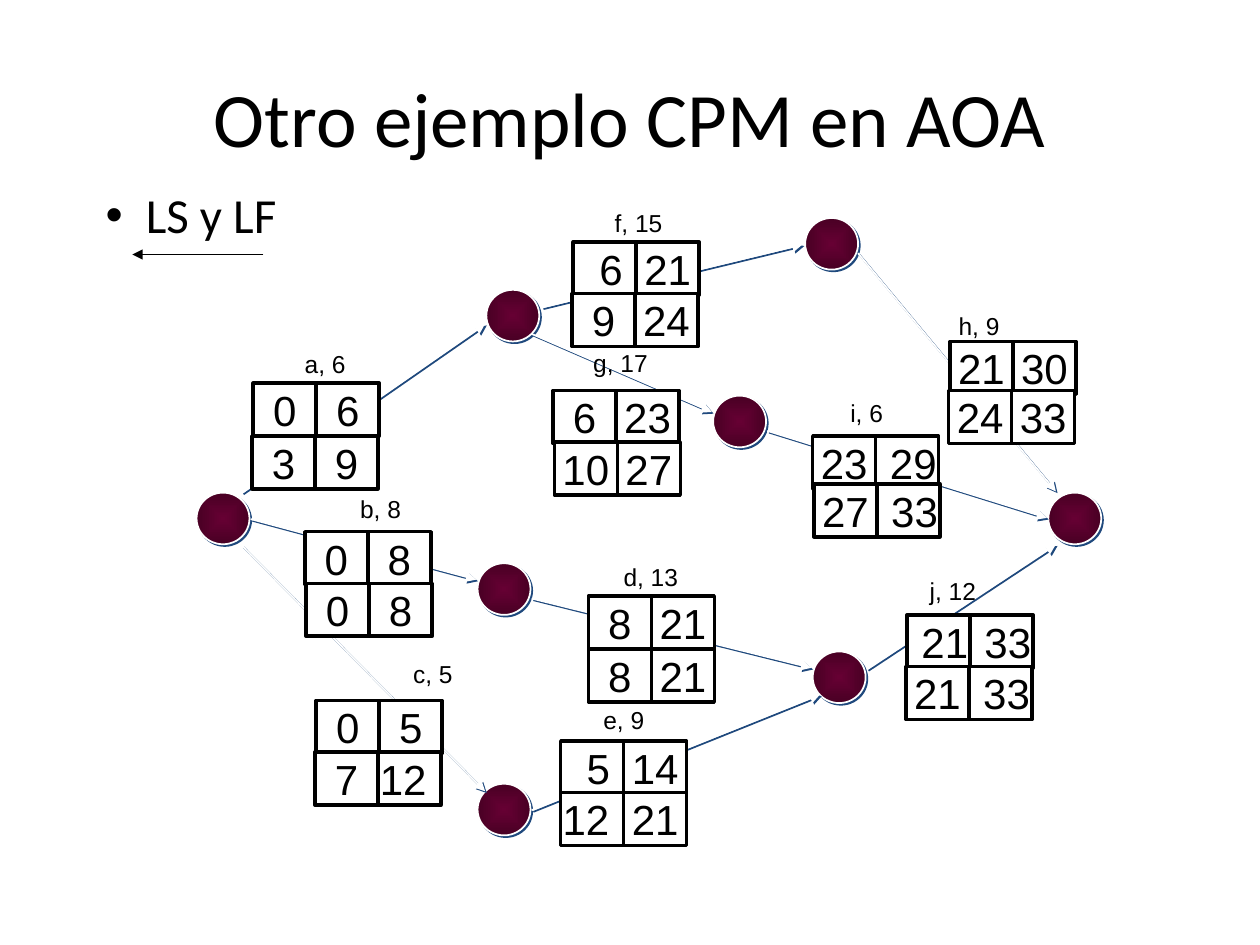
from lxml.etree import SubElement
from pptx import Presentation
from pptx.dml.color import RGBColor
from pptx.enum.shapes import MSO_CONNECTOR as CONNECTOR, MSO_SHAPE as SHAPE
from pptx.enum.text import MSO_ANCHOR as ANCHOR, MSO_AUTO_SIZE as AUTO_SIZE
from pptx.enum.text import PP_ALIGN as ALIGN
from pptx.oxml.ns import qn
from pptx.util import Pt

PX = 9144  # 100 px to the inch
CELL_W, CELL_H = 50, 42
NODE_W, NODE_H = 42, 41
BLACK, WHITE, SHADOW = "000000", "FFFFFF", "1F497D"
NODE_CENTRE, NODE_EDGE = "660033", "490024"

# Left and top of each event
EVENTS = [(156, 391), (832, 391), (386, 230), (566, 314), (379, 622),
          (379, 447), (645, 517), (639, 173)]

# Start and end of each activity arrow
ARROWS = [
    (192, 391, 385, 257), (430, 244, 637, 194), (681, 201, 838, 390),
    (422, 265, 565, 327), (609, 342, 831, 411), (199, 412, 378, 460),
    (422, 475, 644, 530), (192, 433, 385, 628), (422, 643, 651, 551),
    (688, 531, 838, 432),
]

# Label, its box, then for the early and late rows: left, top, values.
# A last item in a row gives the sideways nudge of each figure.
ACTIVITIES = [
    ("a, 6", (232, 272, 53), (201, 304, "0 6"), (200, 346, "3 9")),
    ("b, 8", (276, 387, 53), (242, 422, "0 8"), (243, 463, "0 8")),
    ("c, 5", (318, 518, 52), (251, 556, "0 5"), (250, 597, "7 12", (0, -5))),
    ("d, 13", (485, 441, 65), (467, 473, "8 21"), (467, 515, "8 21")),
    ("e, 9", (469, 555, 53), (445, 588, "5 14", (5, 0)),
     (445, 629, "12 21", (-5, 0))),
    ("f, 15", (478, 160, 58), (455, 192, "6 21", (5, 0)), (454, 233, "9 24")),
    ("g, 17", (461, 271, 63), (439, 310, "6 23"), (440, 351, "10 27")),
    ("h, 9", (751, 242, 53), (754, 271, "21 30"), (753, 310, "24 33")),
    ("i, 6", (665, 311, 46), (645, 346, "23 29", (0, 5)),
     (646, 384, "27 33", (0, 5))),
    ("j, 12", (728, 452, 57), (720, 488, "21 33", (5, 5)),
     (719, 529, "21 33", (0, 5))),
]


def px(*lengths):
    return [round(length * PX) for length in lengths]


def rgb(color):
    return RGBColor.from_string(color)


def write(shape, text, size, font, insets, align=ALIGN.LEFT,
          anchor=ANCHOR.TOP, wrap=False):
    frame = shape.text_frame
    frame.word_wrap = wrap
    frame.vertical_anchor = anchor
    (frame.margin_left, frame.margin_top,
     frame.margin_right, frame.margin_bottom) = px(*insets)
    paragraph = frame.paragraphs[0]
    paragraph.text = text
    paragraph.alignment = align
    run_font = paragraph.runs[0].font
    run_font.size = Pt(size)
    run_font.name = font
    run_font.color.rgb = rgb(BLACK)
    return paragraph


def set_effect(shape, color=None):
    """Give a hard offset shadow, or none when there is no colour."""
    properties = shape._element.spPr
    for old in properties.findall(qn("a:effectLst")):
        properties.remove(old)
    effects = SubElement(properties, qn("a:effectLst"))
    if color:
        shadow = SubElement(effects, qn("a:outerShdw"), dist=str(Pt(1.4)),
                            dir="2700000", algn="ctr", rotWithShape="0")
        SubElement(shadow, qn("a:srgbClr"), val=color)


def add_arrow(slide, ends, color, width, shadow=None):
    arrow = slide.shapes.add_connector(CONNECTOR.STRAIGHT, *px(*ends))
    arrow.line.color.rgb = rgb(color)
    arrow.line.width = Pt(width)
    SubElement(arrow._element.spPr.find(qn("a:ln")), qn("a:tailEnd"),
               type="triangle")
    set_effect(arrow, shadow)


def add_event(slide, left, top):
    event = slide.shapes.add_shape(SHAPE.OVAL, *px(left, top, NODE_W, NODE_H))
    event.fill.gradient()
    for stop, color, position in zip(event.fill.gradient_stops,
                                     (NODE_CENTRE, NODE_EDGE), (0, 1)):
        stop.color.rgb = rgb(color)
        stop.position = position
    gradient = event._element.spPr.find(qn("a:gradFill"))
    gradient.remove(gradient.find(qn("a:lin")))
    radial = SubElement(gradient, qn("a:path"), path="shape")
    SubElement(radial, qn("a:fillToRect"), l="50000", t="50000", r="50000",
               b="50000")
    event.line.color.rgb = rgb(WHITE)
    event.line.width = Pt(1)
    set_effect(event, SHADOW)


def add_time_row(slide, left, top, times, nudges=(0, 0)):
    for column, (time, nudge) in enumerate(zip(times.split(), nudges)):
        cell = slide.shapes.add_shape(
            SHAPE.RECTANGLE, *px(left + column * CELL_W, top, CELL_W, CELL_H))
        cell.shadow.inherit = False
        cell.fill.solid()
        cell.fill.fore_color.rgb = rgb(WHITE)
        cell.line.color.rgb = rgb(BLACK)
        cell.line.width = Pt(2)
        insets = (max(2 * nudge, 0), 0, max(-2 * nudge, 0), 0)
        write(cell, time, 24, "Arial", insets, ALIGN.CENTER, ANCHOR.MIDDLE)


def add_activity(slide, name, label_box, early, late):
    left, top, width = label_box
    label = slide.shapes.add_textbox(*px(left, top, width, 33))
    # No right inset, so that the label keeps to one line
    write(label, name, 14, "Arial", (10, 5, 0, 5))
    label.text_frame.auto_size = AUTO_SIZE.NONE
    add_time_row(slide, *early)
    add_time_row(slide, *late)


def add_title(slide, left, top, width, height):
    title = slide.shapes.add_textbox(*px(left, top, width, height))
    write(title, "Otro ejemplo CPM en AOA", 44, "Calibri", (10,) * 4,
          ALIGN.CENTER, ANCHOR.MIDDLE, True)


def add_pass_heading(slide, left, top, width, height):
    heading = slide.shapes.add_textbox(*px(left, top, width, height))
    paragraph = write(heading, "LS y LF", 28, "Calibri", (10,) * 4, wrap=True)
    paragraph.line_spacing = 0.9
    properties = paragraph._p.get_or_add_pPr()
    margin, indent = px(55, -32)
    properties.set("marL", str(margin))
    properties.set("indent", str(indent))
    SubElement(properties, qn("a:buFont"), typeface="Arial")
    SubElement(properties, qn("a:buChar"), char="•")
    # Backward pass: the arrow points left
    add_arrow(slide, (left + 158, top + 60, left + 54, top + 60), BLACK, 0.75)


def add_network(slide):
    for event in EVENTS:
        add_event(slide, *event)
    for ends in ARROWS:
        add_arrow(slide, ends, WHITE, 1, SHADOW)
    for activity in ACTIVITIES:
        add_activity(slide, *activity)


def main():
    deck = Presentation()
    deck.slide_width, deck.slide_height = px(1000, 750)
    slide = deck.slides.add_slide(deck.slide_layouts[6])
    add_title(slide, 50, 30, 900, 125)
    add_network(slide)
    add_pass_heading(slide, 51, 142, 850, 48)
    deck.save("out.pptx")


if __name__ == "__main__":
    main()
